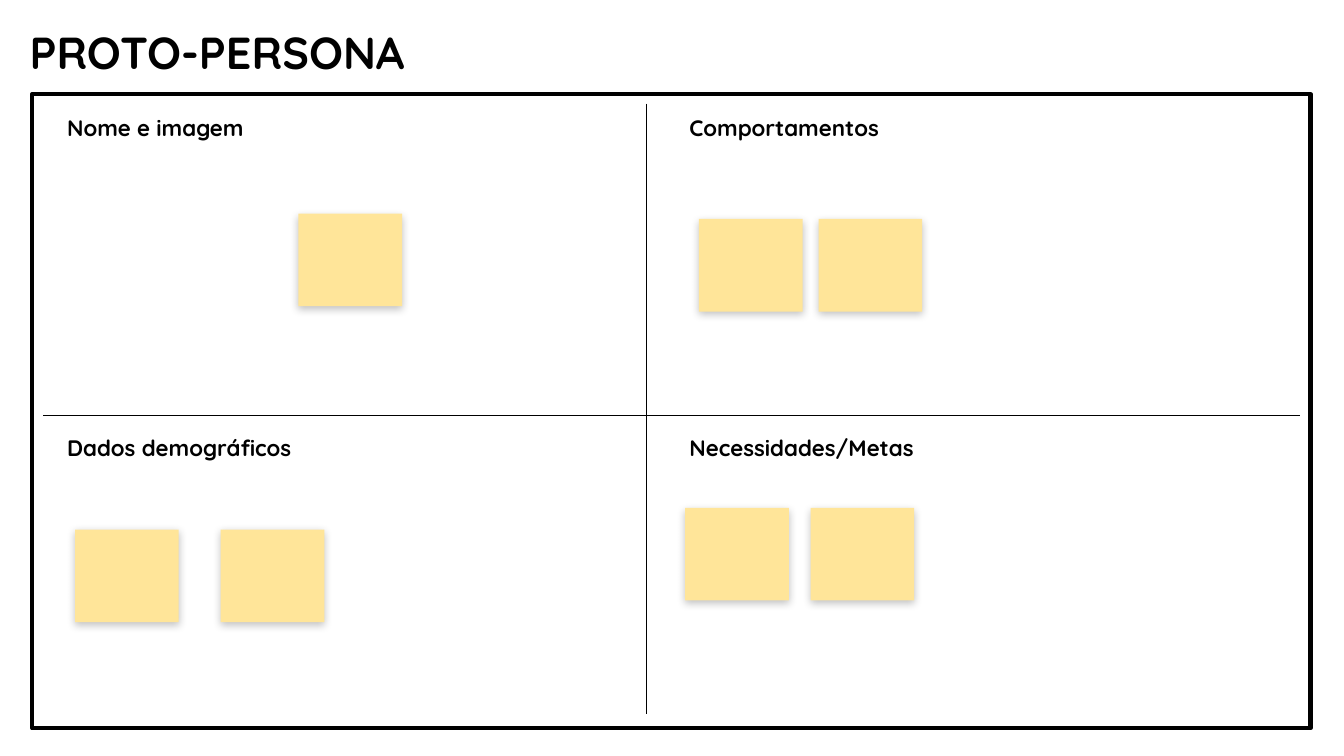
"""Build a proto-persona canvas with four quadrants and sticky notes."""
from dataclasses import dataclass

import lxml.etree
import pptx
import pptx.dml.color
import pptx.enum.shapes
import pptx.enum.text
import pptx.oxml
import pptx.oxml.ns
import pptx.util

Cm = pptx.util.Cm
Pt = pptx.util.Pt

COLORS = {"ink": "000000", "note": "FFE599", "paper": "FFFFFF"}
FONT = "Quicksand"
LEFT, RIGHT = 1.02, 12.78
TOP, BOTTOM = 2.06, 8.1
NOTE_W, NOTE_H = 1.96, 1.75


@dataclass
class Quadrant:
    heading: str
    x: float
    y: float
    w: float
    note_y: float
    note_xs: tuple[float, ...]


@dataclass
class Divider:
    x1: float
    y1: float
    x2: float
    y2: float


QUADRANTS = [
    Quadrant("Nome e imagem", LEFT, TOP, 7.77, 4.04, (5.64,)),
    Quadrant("Comportamentos", RIGHT, TOP, 8.13, 4.14, (13.21, 15.47)),
    Quadrant("Dados demográficos", LEFT, BOTTOM, 10.31, 10.01, (1.42, 4.17)),
    Quadrant("Necessidades/Metas", RIGHT, BOTTOM, 10.95, 9.6, (12.95, 15.32)),
]
DIVIDERS = [
    Divider(12.22, 1.96, 12.22, 13.49),
    Divider(24.56, 7.85, 0.81, 7.85),
]


def rgb(name: str) -> pptx.dml.color.RGBColor:
    """Return the named colour."""
    return pptx.dml.color.RGBColor.from_string(COLORS[name])


def add_text(s, text: str, x: float, y: float, w: float, h: float, *,
             size: float = 12, inset: float = 0.25, spacing: float = 1.0,
             anchor=pptx.enum.text.MSO_ANCHOR.TOP) -> None:
    """Add a bold text box."""
    tf = s.shapes.add_textbox(Cm(x), Cm(y), Cm(w), Cm(h)).text_frame
    tf.word_wrap = True
    tf.vertical_anchor = anchor
    tf.margin_left = tf.margin_right = Cm(inset)
    tf.margin_top = tf.margin_bottom = Cm(inset)
    p = tf.paragraphs[0]
    p.line_spacing = spacing
    r = p.add_run()
    r.text = text
    r.font.name = FONT
    r.font.size = Pt(size)
    r.font.bold = True
    r.font.color.rgb = rgb("ink")


def add_frame(s, x: float, y: float, w: float, h: float) -> None:
    """Add the unfilled outer frame."""
    sp = s.shapes.add_shape(pptx.enum.shapes.MSO_SHAPE.RECTANGLE,
                            Cm(x), Cm(y), Cm(w), Cm(h))
    sp.shadow.inherit = False
    sp.fill.background()
    sp.line.color.rgb = rgb("ink")
    sp.line.width = Pt(2.25)


def add_divider(s, d: Divider) -> None:
    """Add a thin line between quadrants."""
    line = s.shapes.add_connector(pptx.enum.shapes.MSO_CONNECTOR.STRAIGHT,
                                  Cm(d.x1), Cm(d.y1), Cm(d.x2), Cm(d.y2))
    line.line.color.rgb = rgb("ink")
    line.line.width = Pt(0.75)
    lxml.etree.SubElement(line._element.spPr, pptx.oxml.ns.qn("a:effectLst"))


def add_note(s, x: float, y: float) -> None:
    """Add a sticky note with a soft shadow below it."""
    sp = s.shapes.add_shape(pptx.enum.shapes.MSO_SHAPE.RECTANGLE,
                            Cm(x), Cm(y), Cm(NOTE_W), Cm(NOTE_H))
    sp.fill.solid()
    sp.fill.fore_color.rgb = rgb("note")
    sp.line.fill.background()
    sp.shadow.inherit = False
    effects = sp._element.spPr.find(pptx.oxml.ns.qn("a:effectLst"))
    effects.append(pptx.oxml.parse_xml(
        f'<a:outerShdw {pptx.oxml.ns.nsdecls("a")} blurRad="{Pt(4.5)}" '
        f'dist="{Pt(1.5)}" dir="5400000" algn="bl" rotWithShape="0">'
        f'<a:srgbClr val="{COLORS["ink"]}"><a:alpha val="24000"/></a:srgbClr>'
        '</a:outerShdw>'))


def main() -> None:
    """Draw the canvas and save it."""
    prs = pptx.Presentation()
    prs.slide_width, prs.slide_height = Cm(25.4), Cm(14.29)
    s = prs.slides.add_slide(prs.slide_layouts[6])
    s.background.fill.solid()
    s.background.fill.fore_color.rgb = rgb("paper")

    add_frame(s, 0.61, 1.78, 24.16, 11.99)
    for d in DIVIDERS:
        add_divider(s, d)
    add_text(s, "PROTO-PERSONA", 0.46, 0.41, 21.29, 1.14, size=24, inset=0.1,
             anchor=pptx.enum.text.MSO_ANCHOR.MIDDLE)
    for q in QUADRANTS:
        add_text(s, q.heading, q.x, q.y, q.w, 1.63, spacing=0.8)
        for x in q.note_xs:
            add_note(s, x, q.note_y)

    prs.save("out.pptx")


if __name__ == "__main__":
    main()
